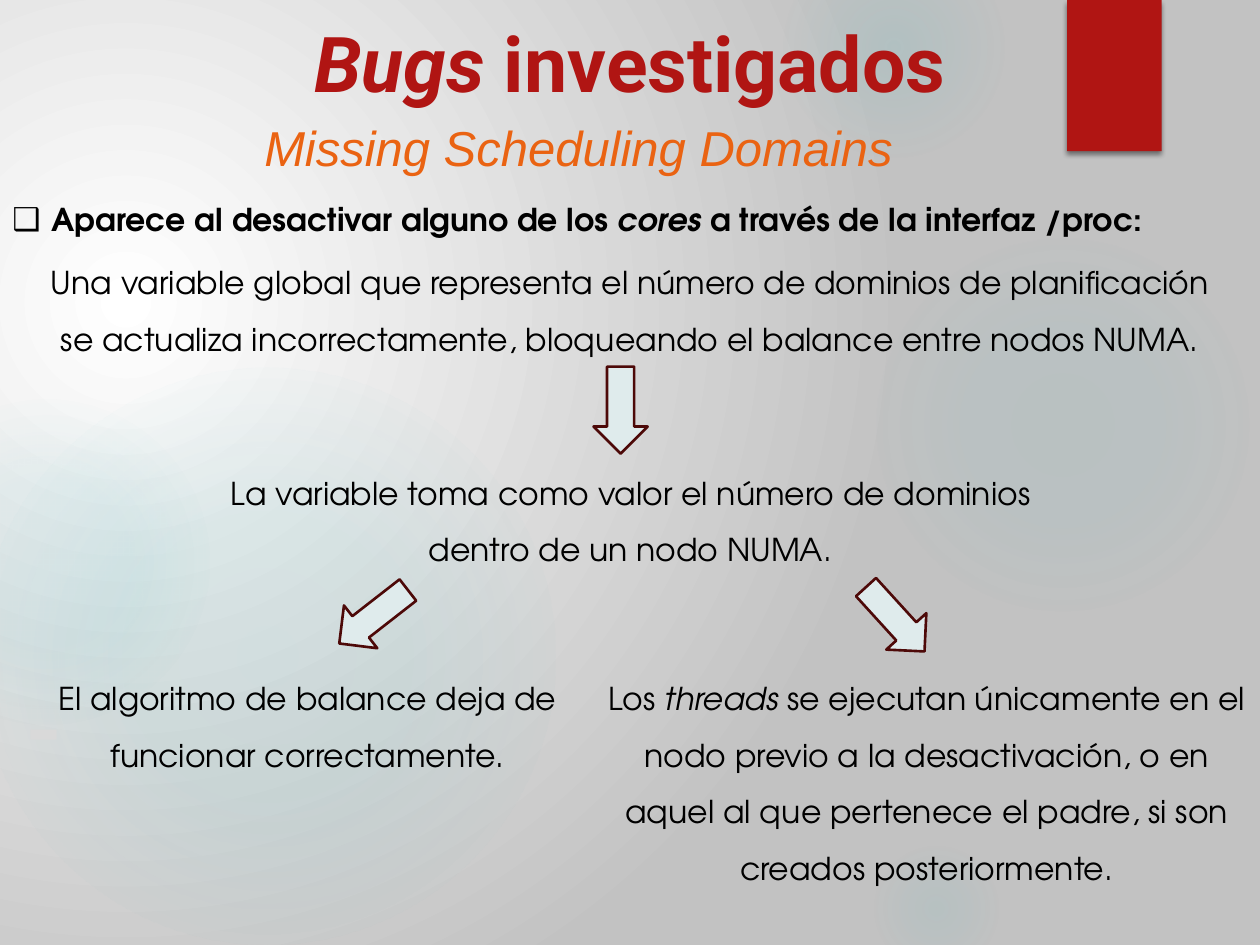
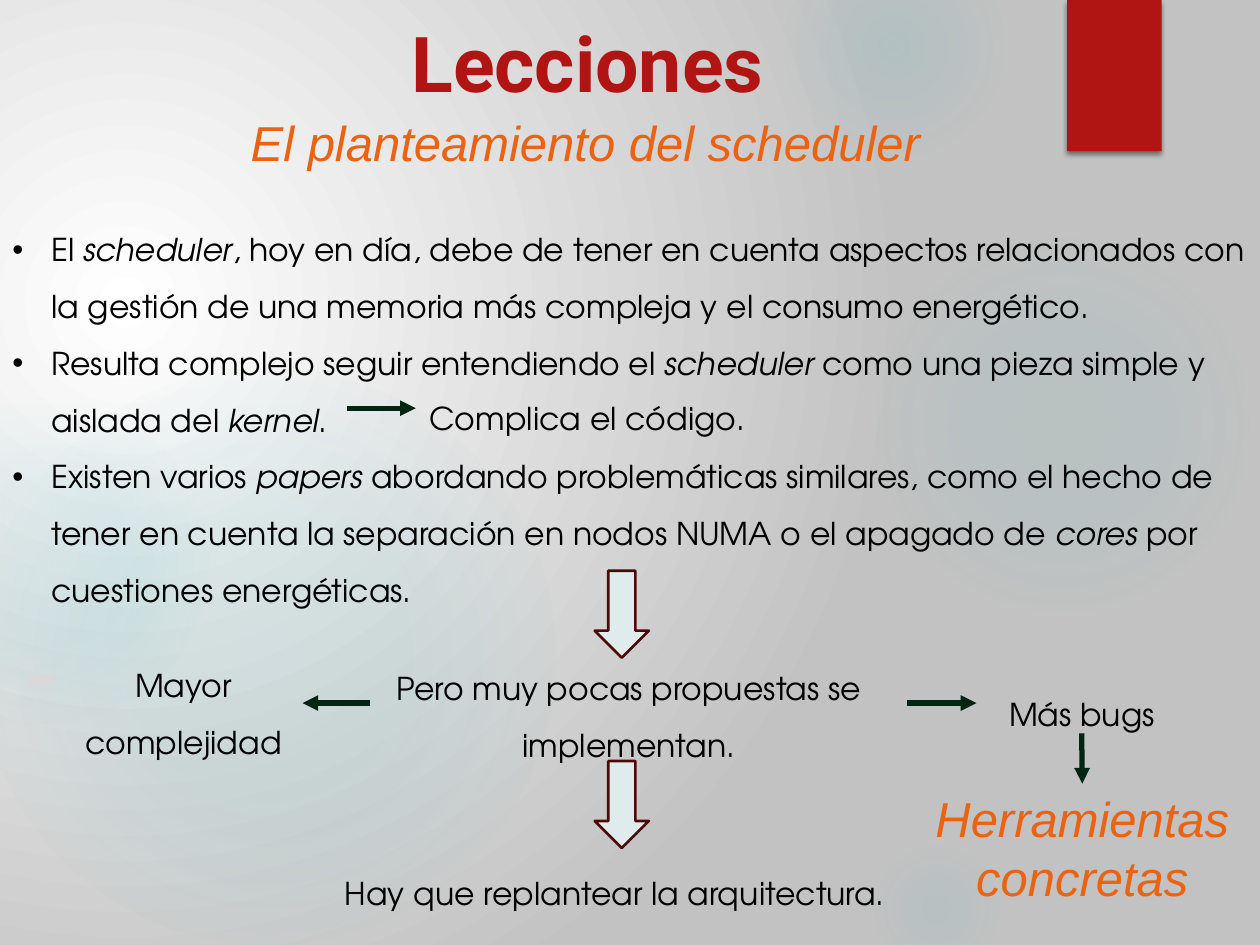
from lxml.etree import SubElement, fromstring
from pptx import Presentation
from pptx.dml.color import RGBColor
from pptx.enum.shapes import MSO_CONNECTOR, MSO_SHAPE
from pptx.enum.text import MSO_ANCHOR, PP_ALIGN
from pptx.oxml.ns import nsdecls, qn
from pptx.util import Pt

PX = 9144  # 100 px to the inch
RED, ORANGE, BLACK = "B01513", "EA6312", "000000"
TEAL, GREY, PALE, WINE, GREEN = "50B9C1", "D9D9D9", "DFEBEC", "4D0908", "002611"
rgb = RGBColor.from_string

# font: values for every run; pad: left/right and top/bottom insets
TITLE = dict(font=dict(name="Roboto", size=Pt(44), bold=True), color=RED,
             pad=(0, 0), anchor=MSO_ANCHOR.MIDDLE, space=1)
SUB = dict(font=dict(name="Arial", size=Pt(28), italic=True), color=ORANGE,
           pad=(7, 4), anchor=MSO_ANCHOR.TOP, space=1)
BODY = dict(font=dict(name="TeX Gyre Adventor", size=Pt(18)), color=BLACK,
            pad=(10, 5), anchor=MSO_ANCHOR.TOP, space=1.5)
CHECK = BODY | dict(font=BODY["font"] | dict(bold=True), mark="❑")
LIST = BODY | dict(mark="•")


def blend(props, stops, rect):
    """Swap the solid fill in props for a circular gradient.

    stops are (position, colour, opacity) and rect is left, top, right, bottom, in percent.
    """
    marks = "".join(
        f'<a:gs pos="{pos * 1000}"><a:srgbClr val="{hue}">'
        f'<a:alpha val="{alpha * 1000}"/></a:srgbClr></a:gs>'
        for pos, hue, alpha in stops)
    sides = " ".join(f'{side}="{part * 1000}"' for side, part in zip("ltrb", rect))
    fill = fromstring(
        f'<a:gradFill {nsdecls("a")} rotWithShape="1"><a:gsLst>{marks}</a:gsLst>'
        f'<a:path path="circle"><a:fillToRect {sides}/></a:path></a:gradFill>')
    props.replace(props.find(qn("a:solidFill")), fill)


def write(slide, area, lines, style):
    """Add a text box; words between asterisks turn italic."""
    box = slide.shapes.add_textbox(*(n * PX for n in area))
    frame = box.text_frame
    side, edge = (n * PX for n in style["pad"])
    setup = dict(word_wrap=True, vertical_anchor=style["anchor"], margin_left=side,
                 margin_right=side, margin_top=edge, margin_bottom=edge)
    for key, value in setup.items():
        setattr(frame, key, value)
    for i, line in enumerate(lines):
        para = frame.paragraphs[0] if i == 0 else frame.add_paragraph()
        para.line_spacing = style["space"]
        para.alignment = PP_ALIGN.LEFT if "mark" in style else PP_ALIGN.CENTER
        if "mark" in style:
            props = para._p.get_or_add_pPr()
            props.set("marL", str(31 * PX))
            props.set("indent", str(-31 * PX))
            SubElement(props, qn("a:buFont"), typeface="Arial")
            SubElement(props, qn("a:buChar"), char=style["mark"])
        for j, part in enumerate(line.split("*")):
            if part:
                run = para.add_run()
                run.text = part
                for key, value in style["font"].items():
                    setattr(run.font, key, value)
                if j % 2:
                    run.font.italic = True
                run.font.color.rgb = rgb(style["color"])
    return box


# Glows: left, top, diameter, then opacity at the centre and at 36 %, and where it fades out
GLOWS = [
    (689, 183, 308, 7, 6, 69),
    (622, -50, 175, 14, 7, 73),
    (689, 667, 108, 9, 5, 66),
    (-17, 292, 458, 11, 10, 75),
    (-92, 317, 258, 8, 8, 72),
]

BUGS = dict(
    dash=(24, 579),
    texts=[
        ((0, 4, 1000, 90), ["*Bugs* investigados"], TITLE),
        ((70, 89, 778, 55), ["Missing Scheduling Domains"], SUB),
        ((0, 139, 1000, 50),
         ["Aparece al desactivar alguno de los *cores* a través de la interfaz /proc:"], CHECK),
        ((28, 189, 944, 95),
         ["Una variable global que representa el número de dominios de planificación "
          "se actualiza incorrectamente, bloqueando el balance entre nodos NUMA."], BODY),
        ((148, 356, 705, 95),
         ["La variable toma como valor el número de dominios dentro de un nodo NUMA."], BODY),
        ((8, 519, 472, 95),
         ["El algoritmo de balance deja de funcionar correctamente."], BODY),
        ((471, 519, 529, 186),
         ["Los *threads* se ejecutan únicamente en el nodo previo a la desactivación, "
          "o en aquel al que pertenece el padre, si son creados posteriormente."], BODY),
    ],
    blocks=[(458, 304, 90), (262, 468, 142.1), (676, 470, 47.7)],
    lines=[],
)

LESSONS = dict(
    dash=(22, 536),
    texts=[
        ((0, 4, 933, 90), ["Lecciones"], TITLE),
        ((34, 85, 861, 55), ["El planteamiento del scheduler"], SUB),
        ((0, 163, 1000, 322),
         ["El *scheduler*, hoy en día, debe de tener en cuenta aspectos relacionados con "
          "la gestión de una memoria más compleja y el consumo energético.",
          "Resulta complejo seguir entendiendo el *scheduler* como una pieza simple y "
          "aislada del *kernel*.",
          "Existen varios *papers* abordando problemáticas similares, como el hecho de "
          "tener en cuenta la separación en nodos NUMA o el apagado de *cores* por "
          "cuestiones energéticas."], LIST),
        ((16, 509, 259, 95), ["Mayor complejidad"], BODY),
        ((258, 511, 482, 95), ["Pero muy pocas propuestas se implementan."], BODY),
        ((247, 674, 482, 50), ["Hay que replantear la arquitectura."], BODY),
        ((323, 297, 286, 50), ["Complica el código."], BODY),
        ((729, 532, 259, 50), ["Más bugs"], BODY),
        ((661, 622, 396, 102), ["Herramientas concretas"], SUB),
    ],
    blocks=[(459, 466, 90), (459, 617, 90)],
    lines=[(294, 558, 240, 558), (720, 558, 775, 558),
           (275, 324, 330, 324), (859, 582, 859, 622)],
)

deck = Presentation()
deck.slide_width, deck.slide_height = 1000 * PX, 750 * PX

for page in (BUGS, LESSONS):
    slide = deck.slides.add_slide(deck.slide_layouts[6])
    slide.background.fill.solid()
    blend(slide._element.find(".//" + qn("p:bgPr")),
          [(0, "FFFFFF", 100), (100, "C2C2C2", 100)], (45, 65, 125, 100))

    for left, top, size, core, ring, end in GLOWS:
        glow = slide.shapes.add_shape(
            MSO_SHAPE.OVAL, left * PX, top * PX, size * PX, size * PX)
        glow.shadow.inherit = False
        glow.line.fill.background()
        glow.fill.solid()
        blend(glow._element.spPr,
              [(0, TEAL, core), (36, TEAL, ring), (end, TEAL, 0)], (50, 50, 50, 50))

    for area, hue in (((847, 0, 75, 120), RED), ((*page["dash"], 21, 8), GREY)):
        band = slide.shapes.add_shape(MSO_SHAPE.RECTANGLE, *(n * PX for n in area))
        band.shadow.inherit = False
        band.line.fill.background()
        band.fill.solid()
        band.fill.fore_color.rgb = rgb(hue)
        if hue == RED:
            shade = SubElement(band._element.spPr.find(qn("a:effectLst")), qn("a:outerShdw"),
                               blurRad=str(Pt(3)), dist=str(Pt(2)), dir="5400000")
            tint = SubElement(shade, qn("a:srgbClr"), val=BLACK)
            SubElement(tint, qn("a:alpha"), val="45000")

    boxes = [write(slide, *text) for text in page["texts"]]

    for left, top, angle in page["blocks"]:
        block = slide.shapes.add_shape(
            MSO_SHAPE.RIGHT_ARROW, left * PX, top * PX, 69 * PX, 43 * PX)
        block.shadow.inherit = False
        block.rotation = angle
        block.fill.solid()
        block.fill.fore_color.rgb = rgb(PALE)
        block.line.color.rgb = rgb(WINE)
        block.line.width = Pt(1.5)

    for ends in page["lines"]:
        arrow = slide.shapes.add_connector(MSO_CONNECTOR.STRAIGHT, *(n * PX for n in ends))
        arrow.line.color.rgb = rgb(GREEN)
        arrow.line.width = Pt(3)
        SubElement(arrow.line._get_or_add_ln(), qn("a:tailEnd"), type="triangle")
        SubElement(arrow._element.spPr, qn("a:effectLst"))
        if ends[0] == ends[2]:  # from "Más bugs" down to "Herramientas concretas"
            arrow.begin_connect(boxes[-2], 2)
            arrow.end_connect(boxes[-1], 0)

deck.save("out.pptx")
